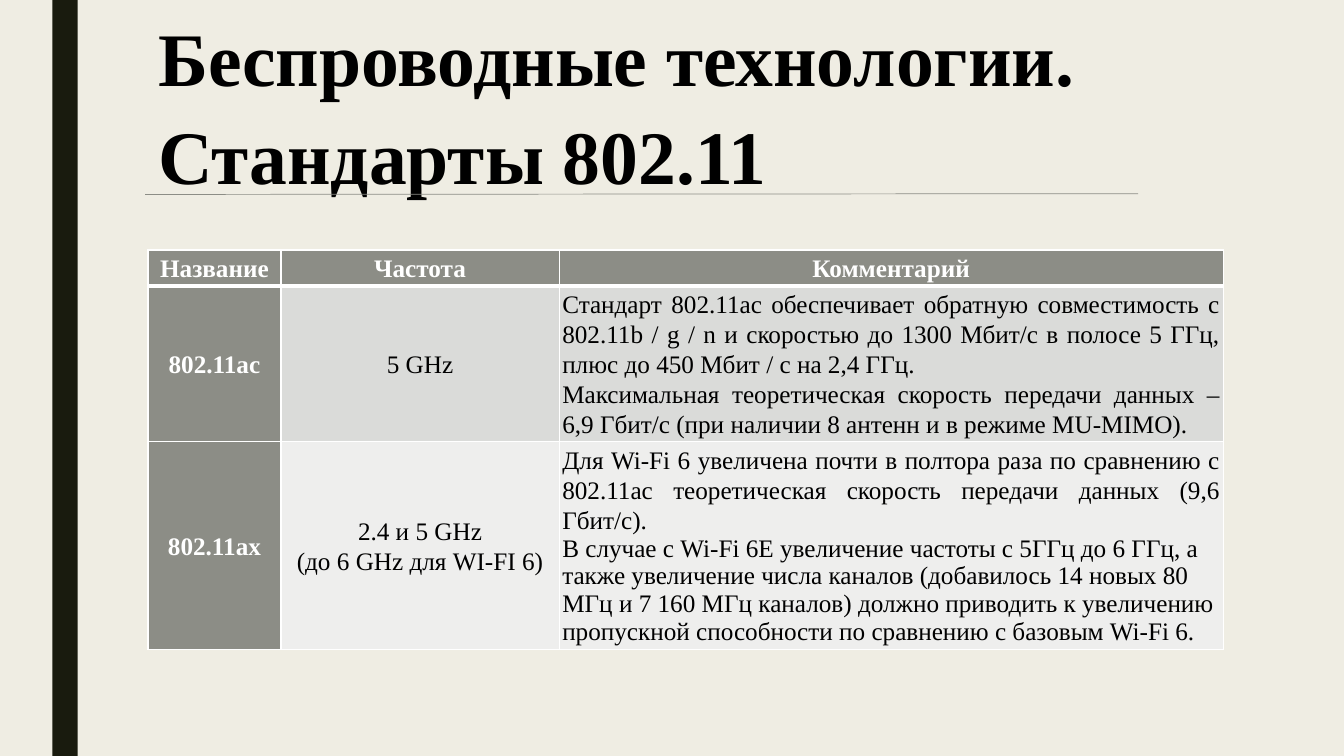
import pptx
import pptx.dml.color
import pptx.enum.shapes
import pptx.enum.text
import pptx.oxml
import pptx.oxml.ns
import pptx.util

Cm = pptx.util.Cm
Pt = pptx.util.Pt
ALIGN = pptx.enum.text.PP_ALIGN
ANCHOR = pptx.enum.text.MSO_ANCHOR

COLORS = {
    "background": "EFEDE3",
    "side_bar": "191B0E",
    "heading": "8C8D86",
    "row_dark": "DADBD9",
    "row_light": "EEEEED",
    "dark_text": "000000",
    "white": "FFFFFF",
}
FONT = "Times New Roman"
SPACING = 1.07

HEADINGS = ["Название", "Частота", "Комментарий"]
STANDARDS = [
    ("802.11ac", ["5 GHz"], [
        "Стандарт 802.11ac обеспечивает обратную совместимость с 802.11b / g / n "
        "и скоростью до 1300 Мбит/с в полосе 5 ГГц, плюс до 450 Мбит / с на 2,4 ГГц.",
        "Максимальная теоретическая скорость передачи данных – 6,9 Гбит/с "
        "(при наличии 8 антенн и в режиме MU-MIMO).",
    ]),
    ("802.11aх", ["2.4 и 5 GHz", "(до 6 GHz для WI-FI 6)"], [
        "Для Wi-Fi 6 увеличена почти в полтора раза по сравнению с 802.11ac "
        "теоретическая скорость передачи данных (9,6 Гбит/с).",
        "В случае с Wi-Fi 6Е увеличение частоты с 5ГГц до 6 ГГц, а также увеличение "
        "числа каналов (добавилось 14 новых 80 МГц и 7 160 МГц каналов) должно "
        "приводить к увеличению пропускной способности по сравнению с базовым Wi-Fi 6.",
    ]),
]
COLUMN_WIDTHS = [3.35, 7.01, 16.74]
ROW_HEIGHTS = [0.9, 3.9, 5.2]


def rgb(name):
    return pptx.dml.color.RGBColor.from_string(COLORS[name])


def apply(target, values):
    for attribute, value in values.items():
        setattr(target, attribute, value)


def paint(fill, color):
    fill.solid()
    fill.fore_color.rgb = rgb(color)


def write(frame, texts, size, color, bold, align, spacing=SPACING):
    for index, text in enumerate(texts):
        paragraph = frame.add_paragraph() if index else frame.paragraphs[0]
        apply(paragraph, {"alignment": align, "line_spacing": spacing})
        run = paragraph.add_run()
        run.text = text
        apply(run.font, {"name": FONT, "size": Pt(size), "bold": bold})
        run.font.color.rgb = rgb(color)


def add_side_bar(slide):
    side_bar = slide.shapes.add_shape(
        pptx.enum.shapes.MSO_SHAPE.RECTANGLE, Cm(1.32), Cm(0), Cm(0.64), Cm(19.05))
    side_bar.shadow.inherit = False
    paint(side_bar.fill, "side_bar")
    side_bar.line.fill.background()


def add_heading(slide, text):
    heading = slide.shapes.title
    apply(heading, {"left": Cm(3.73), "top": Cm(0),
                    "width": Cm(24.92), "height": Cm(4.88)})
    apply(heading.text_frame, {"vertical_anchor": ANCHOR.TOP, "word_wrap": True,
                               "auto_size": pptx.enum.text.MSO_AUTO_SIZE.NONE})
    write(heading.text_frame, [text], 54, "dark_text", True, ALIGN.LEFT)


def add_rule(slide):
    rule = slide.shapes.add_connector(
        pptx.enum.shapes.MSO_CONNECTOR.STRAIGHT,
        Cm(3.66), Cm(4.9), Cm(28.68), Cm(4.88))
    rule.line.color.rgb = rgb("heading")
    rule.line.width = Pt(0.5)
    rule._element.spPr.append(pptx.oxml.parse_xml(
        f'<a:effectLst {pptx.oxml.ns.nsdecls("a")}/>'))


def set_borders(cell, top, bottom):
    widths = {"lnL": 1, "lnR": 1, "lnT": top, "lnB": bottom}
    properties = cell._tc.get_or_add_tcPr()
    for position, (side, width) in enumerate(widths.items()):
        properties.insert(position, pptx.oxml.parse_xml(
            f'<a:{side} {pptx.oxml.ns.nsdecls("a")} w="{Pt(width)}"><a:solidFill>'
            f'<a:srgbClr val="{COLORS["white"]}"/></a:solidFill></a:{side}>'))


def fill_cell(cell, texts, fill, color, bold, align, inset=0.08):
    apply(cell, {"vertical_anchor": ANCHOR.MIDDLE,
                 "margin_left": Cm(inset), "margin_right": Cm(inset),
                 "margin_top": Cm(inset), "margin_bottom": Cm(inset)})
    paint(cell.fill, fill)
    write(cell.text_frame, texts, 18, color, bold, align)


def add_standards_table(slide):
    table = slide.shapes.add_table(
        len(ROW_HEIGHTS), len(COLUMN_WIDTHS), Cm(3.73), Cm(6.3),
        Cm(sum(COLUMN_WIDTHS)), Cm(sum(ROW_HEIGHTS))).table
    table.horz_banding = False
    for column, width in zip(table.columns, COLUMN_WIDTHS):
        column.width = Cm(width)
    for row, height in zip(table.rows, ROW_HEIGHTS):
        row.height = Cm(height)

    # Header row
    for column, heading in enumerate(HEADINGS):
        fill_cell(table.cell(0, column), [heading], "heading", "white", True, ALIGN.CENTER)

    # One row per standard
    row_fills = ["row_dark", "row_light"]
    insets = [0.08, 0.13]
    for row, (standard, fill, inset) in enumerate(zip(STANDARDS, row_fills, insets), 1):
        name, frequency, comment = standard
        fill_cell(table.cell(row, 0), [name], "heading", "white", True, ALIGN.CENTER)
        fill_cell(table.cell(row, 1), frequency, fill, "dark_text", False,
                  ALIGN.CENTER, inset)
        fill_cell(table.cell(row, 2), comment, fill, "dark_text", False, ALIGN.JUSTIFY)

    # The closing remark is set flush left with single spacing
    closing = table.cell(len(STANDARDS), 2).text_frame.paragraphs[-1]
    apply(closing, {"alignment": ALIGN.LEFT, "line_spacing": 1.0})

    # Thick rule under the header, thin lines elsewhere
    for row in range(len(ROW_HEIGHTS)):
        for column in range(len(COLUMN_WIDTHS)):
            set_borders(table.cell(row, column),
                        top=3 if row == 1 else 1, bottom=3 if row == 0 else 1)


def main():
    presentation = pptx.Presentation()
    apply(presentation, {"slide_width": Cm(33.87), "slide_height": Cm(19.05)})
    slide = presentation.slides.add_slide(presentation.slide_layouts[5])
    paint(slide.background.fill, "background")

    add_side_bar(slide)
    add_heading(slide, "Беспроводные технологии. Стандарты 802.11")
    add_rule(slide)
    add_standards_table(slide)

    presentation.save("out.pptx")


if __name__ == "__main__":
    main()
